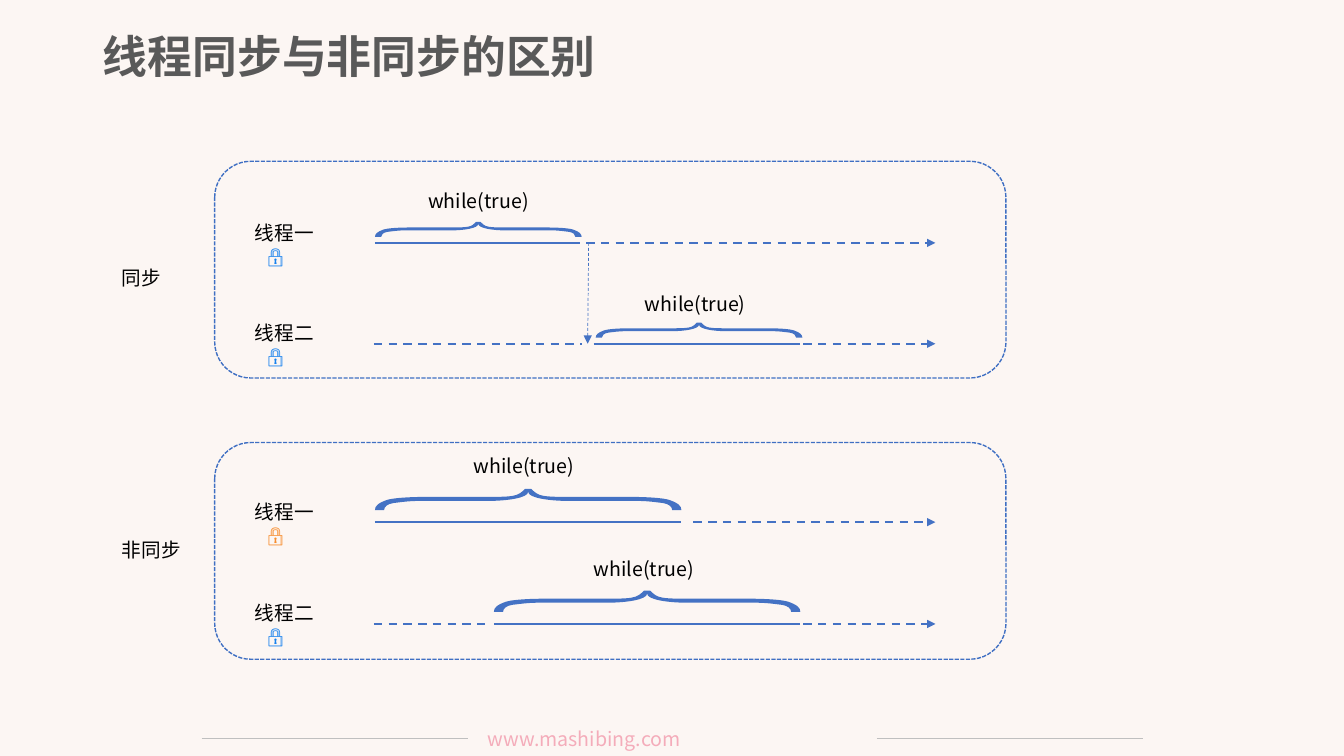
"""Build the slide comparing synchronised and unsynchronised threads."""
import pptx
import pptx.dml.color
import pptx.enum.dml
import pptx.enum.shapes
import pptx.enum.text
import pptx.oxml
import pptx.oxml.ns
import pptx.util

Inches = pptx.util.Inches
Pt = pptx.util.Pt
DASH = pptx.enum.dml.MSO_LINE.DASH

FONT = "Noto Sans CJK SC"
BLUE, FRAME_BLUE, PINK, GRAY, BLACK = "4472C4", "3F6FC3", "F4ACBA", "BFBFBF", "000000"
LOCK_BLUE, LOCK_ORANGE = "1781EE", "F78D2E"
TITLE = "线程同步与非同步的区别"
LOOP = "while(true)"
FOOTER = "www.mashibing.com"
FOOTER_LINES = [(2, 4.64), (8.7, 11.34)]
ROW_LEFT, ROW_RIGHT = 3.71, 9.28

GROUPS = [
    {"name": "同步", "name_top": 2.59, "name_width": 0.59, "frame_top": 1.6,
     "brace": (2.05, 0.15, 0.06), "rows": [
         {"name": "线程一", "lock": LOCK_BLUE, "top": 2.14, "y": 2.41, "before": None,
          "solid": (3.72, 5.67), "after": 5.67, "brace": 3.72, "loop": (4.15, 1.83)},
         {"name": "线程二", "lock": LOCK_BLUE, "top": 3.13, "y": 3.41, "before": 5.77,
          "solid": (5.89, 7.94), "after": 7.97, "brace": 5.91, "loop": (6.3, 2.85)}]},
    {"name": "非同步", "name_top": 5.29, "name_width": 0.79, "frame_top": 4.39,
     "brace": (3.04, 0.21, 0.12), "rows": [
         {"name": "线程一", "lock": LOCK_ORANGE, "top": 4.91, "y": 5.18, "before": None,
          "solid": (3.72, 6.76), "after": 6.88, "brace": 3.72, "loop": (4.6, 4.45)},
         {"name": "线程二", "lock": LOCK_BLUE, "top": 5.91, "y": 6.19, "before": 4.83,
          "solid": (4.9, 7.94), "after": 7.97, "brace": 4.9, "loop": (5.79, 5.48)}]},
]

BRACE_OUTER = [(0, 1), (0, 0.81), (0.01, 0.67), (0.04, 0.52),
               (0.06, 0.43), (0.11, 0.38), (0.17, 0.38), (0.36, 0.38),
               (0.4, 0.38), (0.43, 0.38), (0.45, 0.33),
               (0.47, 0.29), (0.48, 0.14), (0.49, 0)]
BRACE_INNER = [(0.5, 0.14), (0.5, 0.43), (0.43, 0.57), (0.37, 0.57), (0.15, 0.57),
               (0.11, 0.57), (0.09, 0.62), (0.06, 0.67),
               (0.04, 0.71), (0.03, 0.86), (0.03, 1)]
BRACE_SEGMENTS = "CCLCC" + "L" + "CCLCC" + "L" + "CCLC" + "CLCC"


def color(value):
    return pptx.dml.color.RGBColor.from_string(value)


def style_paragraph(para, size, fill, bold=False):
    for span in para.runs:
        span.font.size = Pt(size)
        span.font.name = FONT
        span.font.bold = bold
        span.font.color.rgb = color(fill)
        east_asian = pptx.oxml.parse_xml(
            f'<a:ea {pptx.oxml.ns.nsdecls("a")} typeface="{FONT}"/>')
        span.font._element.append(east_asian)


def add_text(page, left, top, width, height, lines, indents=(0,)):
    box = page.shapes.add_textbox(*map(Inches, (left, top, width, height)))
    frame = box.text_frame
    frame.word_wrap = True
    frame.margin_right = 0
    frame.text = "\n".join(text for text, fill in lines)
    for para, (text, fill), indent in zip(frame.paragraphs, lines, indents):
        para._p.get_or_add_pPr().set("marL", str(Inches(indent)))
        style_paragraph(para, 14, fill)


def add_line(page, start, end, fill=BLUE, width=1.5, dash=None, arrow=False):
    line = page.shapes.add_connector(
        pptx.enum.shapes.MSO_CONNECTOR.STRAIGHT, *map(Inches, start + end))
    line.line.color.rgb = color(fill)
    line.line.width = Pt(width)
    if dash:
        line.line.dash_style = dash
    namespace = pptx.oxml.ns.nsdecls("a")
    if arrow:
        line.line._get_or_add_ln().append(
            pptx.oxml.parse_xml(f'<a:tailEnd {namespace} type="triangle"/>'))
    line._element.spPr.append(pptx.oxml.parse_xml(f"<a:effectLst {namespace}/>"))


def mirror(points):
    return [(1 - x, y) for x, y in reversed(points)]


def bend_segments(shape, kinds):
    steps = iter(shape._element.findall(".//" + pptx.oxml.ns.qn("a:lnTo")))
    for kind in kinds:
        step = next(steps)
        if kind == "C":
            curve = pptx.oxml.parse_xml(
                f'<a:cubicBezTo {pptx.oxml.ns.nsdecls("a")}/>')
            step.addprevious(curve)
            for part in (step, next(steps), next(steps)):
                curve.append(part[0])
                part.getparent().remove(part)


def add_brace(page, left, top, width, height):
    points = BRACE_OUTER + mirror(BRACE_OUTER) + mirror(BRACE_INNER) + BRACE_INNER[1:]
    outline = [(Inches(left + x * width), Inches(top + y * height)) for x, y in points]
    builder = page.shapes.build_freeform(*outline[0])
    builder.add_line_segments(outline[1:], close=True)
    brace = builder.convert_to_shape()
    bend_segments(brace, BRACE_SEGMENTS)
    brace.shadow.inherit = False
    brace.fill.solid()
    brace.fill.fore_color.rgb = color(BLUE)
    brace.line.fill.background()


def add_frame(page, top):
    frame = page.shapes.add_shape(
        pptx.enum.shapes.MSO_SHAPE.ROUNDED_RECTANGLE,
        *map(Inches, (2.13, top, 7.85, 2.15)))
    frame.shadow.inherit = False
    frame.fill.background()
    frame.line.color.rgb = color(FRAME_BLUE)
    frame.line.width = Pt(1)
    frame.line.dash_style = pptx.enum.dml.MSO_LINE.SQUARE_DOT


def add_thread(page, row, brace):
    y = row["y"]
    add_text(page, 2.21, row["top"], 1.08, 0.57,
             [(row["name"], BLACK), ("🔒", row["lock"])], (0.22, 0.35))
    if row["before"]:
        add_line(page, (ROW_LEFT, y), (row["before"], y), dash=DASH)
    start, end = row["solid"]
    add_line(page, (start, y), (end, y))
    add_line(page, (row["after"], y), (ROW_RIGHT, y), dash=DASH, arrow=True)
    width, height, gap = brace
    add_brace(page, row["brace"], y - gap - height, width, height)
    add_text(page, *row["loop"], 1.21, 0.34, [(LOOP, BLACK)])


def main():
    deck = pptx.Presentation()
    deck.slide_width, deck.slide_height = Inches(40 / 3), Inches(7.5)
    page = deck.slides.add_slide(deck.slide_layouts[5])
    page.background.fill.solid()
    page.background.fill.fore_color.rgb = color("FCF6F3")

    title = page.shapes.title
    title.left, title.top, title.width, title.height = map(Inches, (0.92, 0, 7.85, 1.18))
    title.text_frame.text = TITLE
    title.text_frame.vertical_anchor = pptx.enum.text.MSO_ANCHOR.MIDDLE
    para = title.text_frame.paragraphs[0]
    para.alignment = pptx.enum.text.PP_ALIGN.LEFT
    para.line_spacing = 0.9
    style_paragraph(para, 32, "595959", bold=True)

    for start, end in FOOTER_LINES:
        add_line(page, (start, 7.33), (end, 7.33), GRAY, 0.5)
    add_text(page, 4.74, 7.16, 3.85, 0.34, [(FOOTER, PINK)])

    for group in GROUPS:
        add_text(page, 1.11, group["name_top"], group["name_width"], 0.34,
                 [(group["name"], BLACK)])
        for row in group["rows"]:
            add_thread(page, row, group["brace"])
        add_frame(page, group["frame_top"])
    add_line(page, (5.84, 2.41), (5.83, 3.41), width=0.5, dash=DASH, arrow=True)

    deck.save("out.pptx")


if __name__ == "__main__":
    main()
